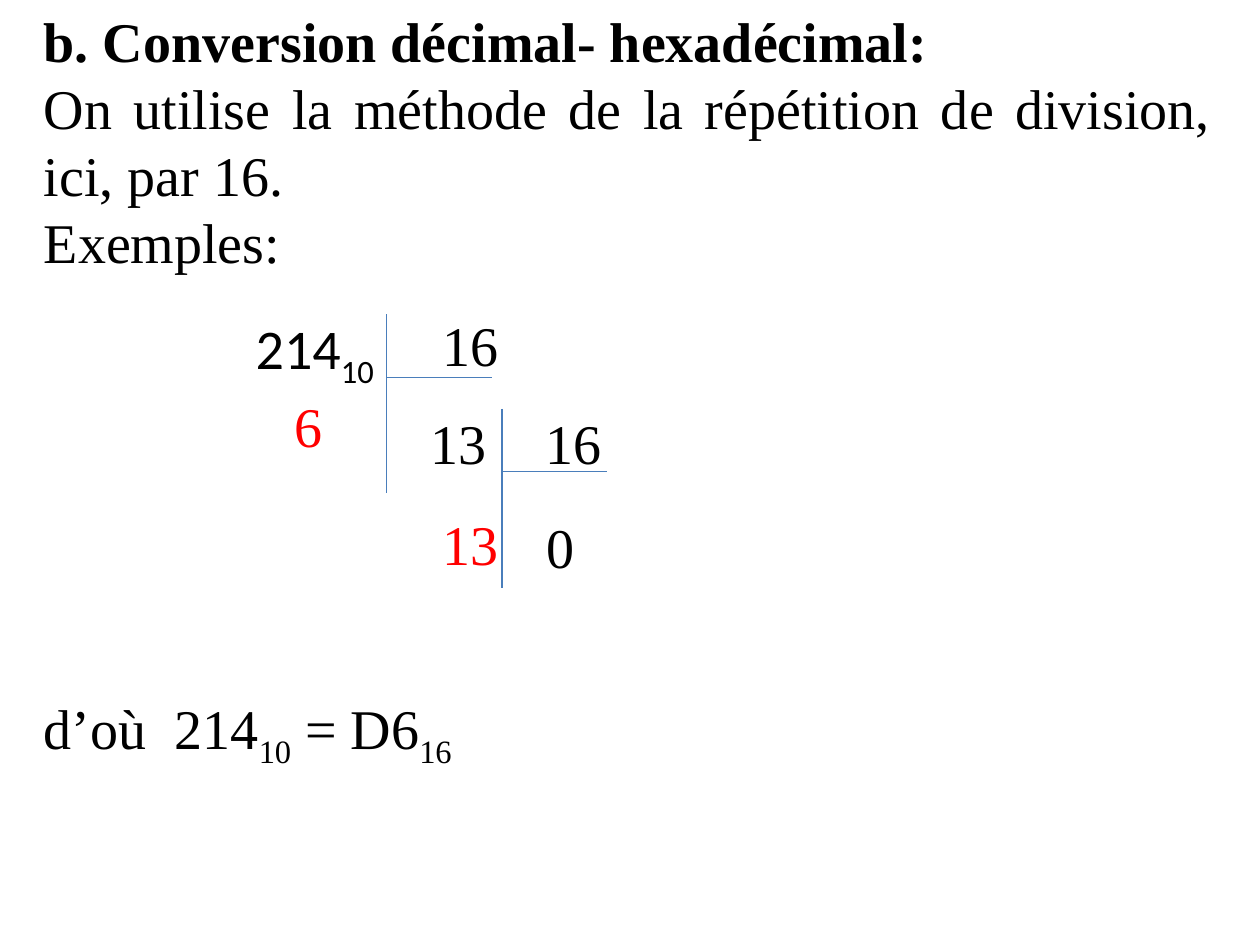
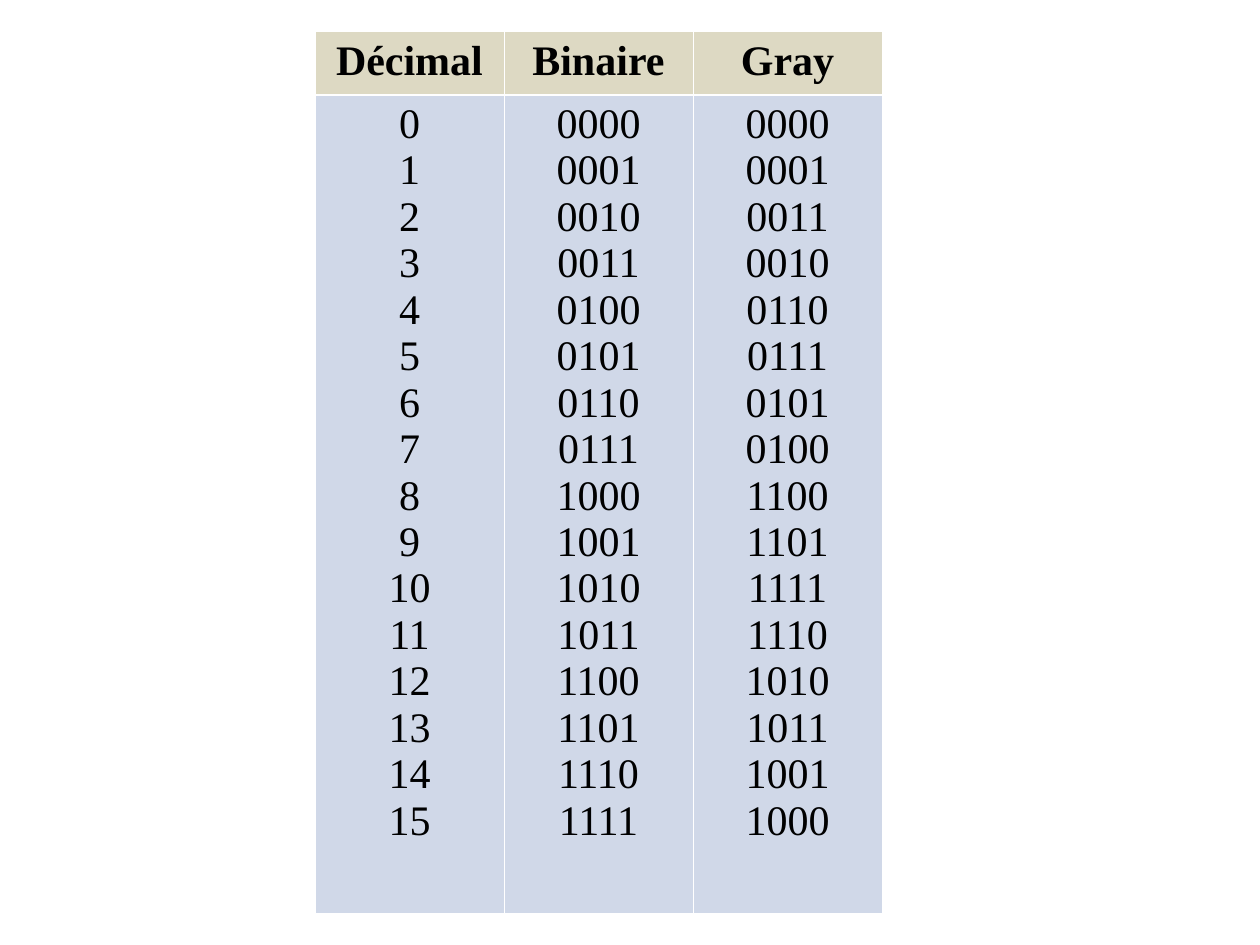
"""Build two slides: decimal to hexadecimal conversion, and a Gray code table."""
import pptx
import pptx.util
import pptx.dml.color
import pptx.enum.shapes
import pptx.enum.text
import lxml.etree

Pt = pptx.util.Pt
RGBColor = pptx.dml.color.RGBColor
ALIGN = pptx.enum.text.PP_ALIGN
FIT = pptx.enum.text.MSO_AUTO_SIZE
STRAIGHT = pptx.enum.shapes.MSO_CONNECTOR.STRAIGHT
DRAWING = "http://schemas.openxmlformats.org/drawingml/2006/main"

BLACK = RGBColor(0x00, 0x00, 0x00)
RED = RGBColor(0xFF, 0x00, 0x00)
WHITE = RGBColor(0xFF, 0xFF, 0xFF)
BLUE = RGBColor(0x4A, 0x7E, 0xBB)
SAND = RGBColor(0xDD, 0xD9, 0xC3)
PALE_BLUE = RGBColor(0xD0, 0xD8, 0xE8)

SERIF, SANS = "Times New Roman", "Calibri"
BODY = {"name": SERIF, "size": Pt(32), "bold": False}
CODE = {"name": SERIF, "size": Pt(24), "bold": False}

lesson = [
    ("b. Conversion décimal- hexadécimal:", ALIGN.LEFT, {"bold": True}),
    ("On utilise la méthode de la répétition de division, ici, par 16.", ALIGN.JUSTIFY, {}),
    ("Exemples:", ALIGN.JUSTIFY, {}),
]
conclusion = [("d’où  214", 0), ("10", -25), (" = D6", 0), ("16", -25)]
division_terms = [
    ([("16", 0)], (245.5, 173.7, 48, 46), BLACK, SERIF),
    ([("16", 0)], (304.5, 229.7, 48, 46), BLACK, SERIF),
    ([("214", 0), ("10", -25)], (139, 175.7, 84, 51), BLACK, SANS),
    ([("13", 0)], (239, 229.7, 48, 46), BLACK, SERIF),
    ([("0", 0)], (305.3, 289.6, 32, 46), BLACK, SERIF),
    ([("6", 0)], (161.3, 220.3, 32, 46), RED, SERIF),
    ([("13", 0)], (245.5, 287.5, 48, 46), RED, SERIF),
]
bracket_corners = [(221, 179.6), (286.9, 233.6)]
STEM, BAR_DROP, BAR = 102.2, 36, 60

codes = {
    "Décimal": [str(n) for n in range(16)],
    "Binaire": [f"{n:04b}" for n in range(16)],
    "Gray": [f"{n ^ n >> 1:04b}" for n in range(16)],
}
TABLE_LEFT, TABLE_TOP, COLUMN = 180, 18.2, 108
ROW_HEIGHTS = (36, 468)
THIN, THICK = 0.45, 1.47


def write(paragraph, text, style, colour=BLACK, baseline=0):
    run = paragraph.add_run()
    run.text = text
    for key, value in style.items():
        setattr(run.font, key, value)
    run.font.color.rgb = colour
    if baseline:
        run._r.get_or_add_rPr().set("baseline", str(baseline * 1000))


def add_text(slide, place, **frame_format):
    frame = slide.shapes.add_textbox(*map(Pt, place)).text_frame
    for key, value in frame_format.items():
        setattr(frame, key, value)
    return frame


def next_paragraph(frame, index):
    return frame.add_paragraph() if index else frame.paragraphs[0]


def add_line(group, *ends):
    line = group.shapes.add_connector(STRAIGHT, *map(Pt, ends))
    line.line.color.rgb = BLUE
    line.line.width = Pt(0.74)
    lxml.etree.SubElement(line._element.spPr, f"{{{DRAWING}}}effectLst")


def add_borders(cell, widths):
    properties = cell._tc.get_or_add_tcPr()
    for index, (side, width) in enumerate(widths.items()):
        border = lxml.etree.Element(f"{{{DRAWING}}}ln{side}", w=str(int(Pt(width))))
        solid = lxml.etree.SubElement(border, f"{{{DRAWING}}}solidFill")
        lxml.etree.SubElement(solid, f"{{{DRAWING}}}srgbClr", val=str(WHITE))
        properties.insert(index, border)


def build_conversion(slide):
    for x, y in bracket_corners:
        bracket = slide.shapes.add_group_shape()
        add_line(bracket, x, y, x, y + STEM)
        add_line(bracket, x, y + BAR_DROP, x + BAR, y + BAR_DROP)
    for pieces, place, colour, font in division_terms:
        frame = add_text(slide, place, word_wrap=True)
        for text, baseline in pieces:
            write(frame.paragraphs[0], text, BODY | {"name": font}, colour, baseline)
    frame = add_text(slide, (18, 354.2, 342, 133.2), word_wrap=True, margin_top=Pt(42))
    for text, baseline in conclusion:
        write(frame.paragraphs[0], text, BODY, baseline=baseline)
    frame = add_text(slide, (18, 0, 696.2, 161.3), word_wrap=True,
                     margin_right=Pt(21.5), auto_size=FIT.SHAPE_TO_FIT_TEXT)
    for index, (text, alignment, style) in enumerate(lesson):
        paragraph = next_paragraph(frame, index)
        paragraph.alignment = alignment
        write(paragraph, text, BODY | style)


def build_codes(slide):
    place = (TABLE_LEFT, TABLE_TOP, COLUMN * len(codes), sum(ROW_HEIGHTS))
    table = slide.shapes.add_table(len(ROW_HEIGHTS), len(codes), *map(Pt, place)).table
    for row, height in zip(table.rows, ROW_HEIGHTS):
        row.height = Pt(height)
    for column, (heading, values) in enumerate(codes.items()):
        table.columns[column].width = Pt(COLUMN)
        parts = [([heading], SAND, True, THIN, THICK),
                 (values, PALE_BLUE, False, THICK, THIN)]
        for row, (lines, fill, bold, top, bottom) in enumerate(parts):
            cell = table.cell(row, column)
            cell.fill.solid()
            cell.fill.fore_color.rgb = fill
            add_borders(cell, {"L": THIN, "R": THIN, "T": top, "B": bottom})
            for index, text in enumerate(lines):
                paragraph = next_paragraph(cell.text_frame, index)
                paragraph.alignment = ALIGN.CENTER
                write(paragraph, text, CODE | {"bold": bold})


deck = pptx.Presentation()
deck.slide_width, deck.slide_height = Pt(720), Pt(540)
for build in (build_conversion, build_codes):
    build(deck.slides.add_slide(deck.slide_layouts[6]))
deck.save("out.pptx")
